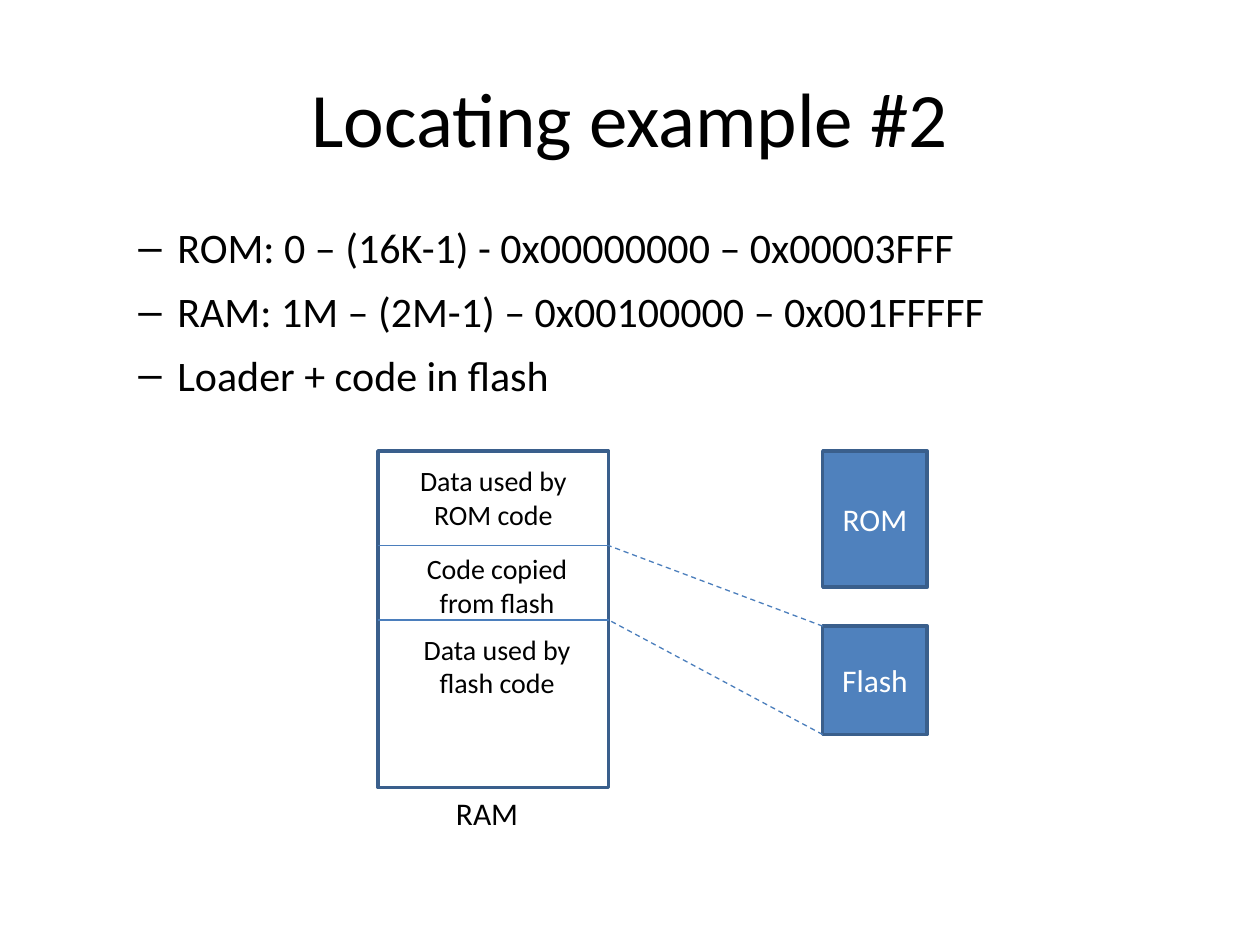
from lxml import etree
from pptx import Presentation
from pptx.dml.color import RGBColor
from pptx.enum.dml import MSO_LINE
from pptx.enum.shapes import MSO_CONNECTOR, MSO_SHAPE
from pptx.enum.text import MSO_ANCHOR as Anchor, PP_ALIGN as Align
from pptx.oxml.ns import qn
from pptx.util import Inches, Pt

BLACK = RGBColor(0x00, 0x00, 0x00)
WHITE = RGBColor(0xFF, 0xFF, 0xFF)
BLUE = RGBColor(0x4F, 0x81, 0xBD)
BORDER = RGBColor(0x3A, 0x5F, 0x8C)
LINK = RGBColor(0x4B, 0x7E, 0xBC)
FONT = "Calibri"


def style_text(frame, size, color, align):
    for paragraph in frame.paragraphs:
        paragraph.alignment = align
        for run in paragraph.runs:
            run.font.name = FONT
            run.font.size = Pt(size)
            run.font.color.rgb = color


def add_text(slide, box, text, size, align=Align.CENTER, anchor=Anchor.TOP):
    label = slide.shapes.add_textbox(*map(Inches, box))
    frame = label.text_frame
    frame.word_wrap = True
    frame.vertical_anchor = anchor
    frame.text = text
    style_text(frame, size, BLACK, align)
    return frame


def add_block(slide, box, fill, text=""):
    block = slide.shapes.add_shape(MSO_SHAPE.RECTANGLE, *map(Inches, box))
    block.shadow.inherit = False
    block.fill.solid()
    block.fill.fore_color.rgb = fill
    block.line.color.rgb = BORDER
    block.line.width = Pt(2)
    frame = block.text_frame
    frame.vertical_anchor = Anchor.MIDDLE
    frame.text = text
    style_text(frame, 18, WHITE, Align.CENTER)


def add_line(slide, start, end, dashed=False):
    line = slide.shapes.add_connector(
        MSO_CONNECTOR.STRAIGHT, *map(Inches, (*start, *end)))
    line.line.color.rgb = LINK
    line.line.width = Pt(0.75)
    if dashed:
        line.line.dash_style = MSO_LINE.DASH
    etree.SubElement(line._element.spPr, qn("a:effectLst"))


def add_address_list(slide, box, items):
    frame = add_text(slide, box, "\n".join(items), 24, Align.LEFT)
    for index, paragraph in enumerate(frame.paragraphs):
        paragraph.line_spacing = 1.1
        if index:
            paragraph.space_before = Pt(4.8)
        props = paragraph._p.get_or_add_pPr()
        props.set("marL", str(Inches(0.81)))
        props.set("indent", str(Inches(-0.31)))
        etree.SubElement(props, qn("a:buFont")).set("typeface", "Arial")
        etree.SubElement(props, qn("a:buChar")).set("char", "–")


def add_ram(slide, box, dividers):
    left, top, width, height = box
    add_block(slide, box, WHITE)
    for y in dividers:
        add_line(slide, (left, y), (left + width, y))
    # Section labels
    code_top, code_bottom = dividers
    for label_box, text in (
            ((left + 0.04, top + 0.05, 1.75, 0.64), "Data used by ROM code"),
            ((left + 0.11, code_top, 1.67, 0.64), "Code copied from flash"),
            ((left + 0.11, code_bottom + 0.05, 1.67, 0.64),
             "Data used by flash code")):
        add_text(slide, label_box, text, 16)
    add_text(slide, (left + 0.52, top + height, 1.25, 0.4), "RAM", 18, Align.LEFT)


def add_memory_map(slide, ram, rom, flash, dividers):
    add_block(slide, rom, BLUE, "ROM")
    add_ram(slide, ram, dividers)
    add_block(slide, flash, BLUE, "Flash")
    # Flash contents projected onto the copied code section
    left, top, _, height = flash
    ram_right = ram[0] + ram[2]
    for flash_y, ram_y in zip((top, top + height), dividers):
        add_line(slide, (left, flash_y), (ram_right, ram_y), dashed=True)


def main():
    prs = Presentation()
    prs.slide_width, prs.slide_height = Inches(10), Inches(7.5)
    slide = prs.slides.add_slide(prs.slide_layouts[6])
    # Title
    add_text(slide, (0.5, 0.3, 9, 1.25), "Locating example #2", 44,
             anchor=Anchor.MIDDLE)
    # Address ranges
    add_address_list(slide, (0.5, 1.67, 9, 4.5), (
        "ROM: 0 – (16K-1) - 0x00000000 – 0x00003FFF",
        "RAM: 1M – (2M-1) – 0x00100000 – 0x001FFFFF",
        "Loader + code in flash"))
    # Memory diagram
    add_memory_map(slide, ram=(3, 3.58, 1.83, 2.67), rom=(6.53, 3.58, 0.83, 1.08),
                   flash=(6.53, 4.97, 0.83, 0.86), dividers=(4.33, 4.92))
    prs.save("out.pptx")


if __name__ == "__main__":
    main()
